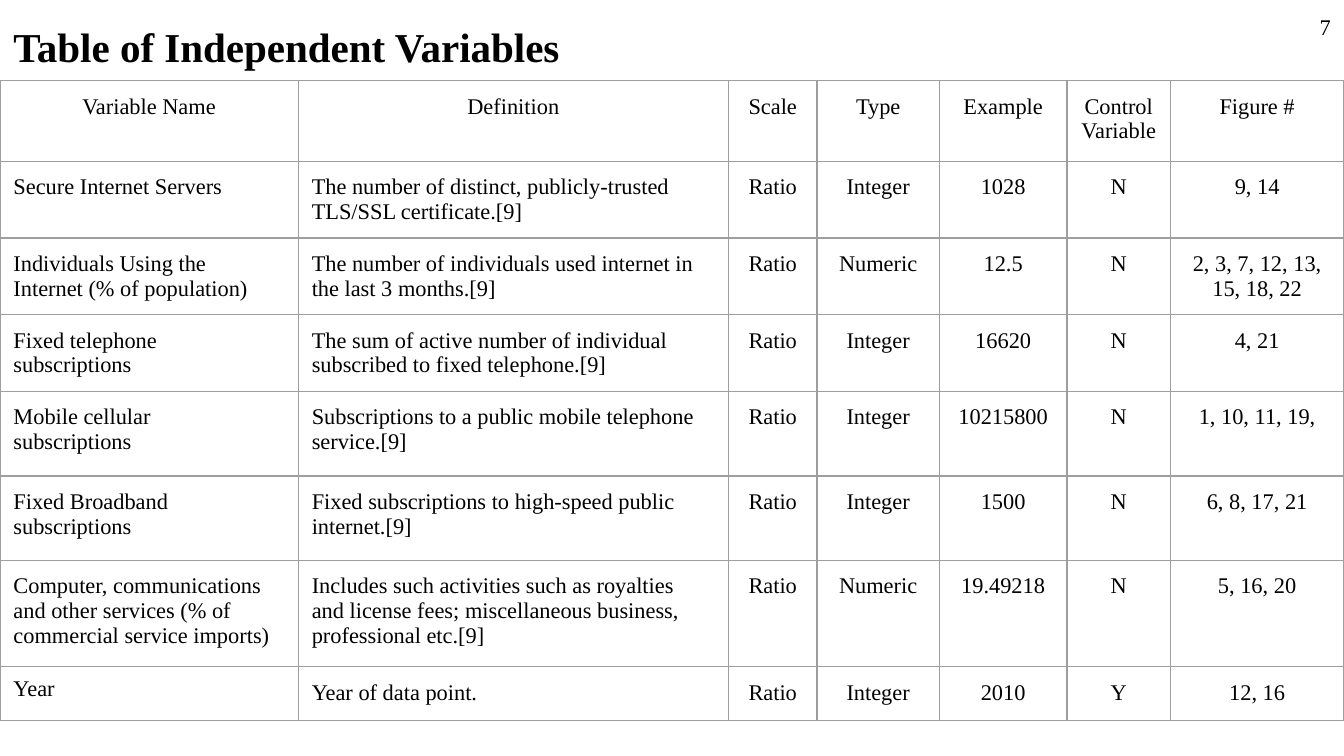
from dataclasses import astuple, dataclass
from typing import Any

from lxml import etree
from pptx import Presentation
from pptx import util as u
from pptx.dml.color import RGBColor
from pptx.enum import text
from pptx.oxml import ns

INK = RGBColor(0x00, 0x00, 0x00)
RULE = RGBColor(0x9E, 0x9E, 0x9E)
FACE = "Times New Roman"
SLIDE_WIDTH = u.Inches(10)
SLIDE_HEIGHT = SLIDE_WIDTH * 9 // 16
INSET = u.Inches(0.1)
CENTER, LEFT, RIGHT = text.PP_ALIGN.CENTER, text.PP_ALIGN.LEFT, text.PP_ALIGN.RIGHT
BODY_FONT = {"name": FACE, "size": u.Pt(12), "bold": False}
TITLE_FONT = {"name": FACE, "size": u.Pt(22), "bold": True}
MARGINS = {f"margin_{side}": INSET for side in ("left", "top", "right", "bottom")}
PROSE_MARGINS = MARGINS | {"margin_right": 2 * INSET}
COLUMN_WIDTHS = (2.22, 3.2, 0.66, 0.91, 0.95, 0.77, 1.29)
ROW_HEIGHTS = (0.6, 0.53, 0.53, 0.51, 0.63, 0.63, 0.79, 0.4)
TABLE_TOP = 0.6


@dataclass
class Variable:
    name: str
    definition: str
    scale: str
    kind: str
    example: str
    control: str
    figures: str


VARIABLES = (
    Variable("Variable Name", "Definition", "Scale", "Type", "Example",
             "Control Variable", "Figure #"),
    Variable("Secure Internet Servers",
             "The number of distinct, publicly-trusted TLS/SSL certificate.[9]",
             "Ratio", "Integer", "1028", "N", "9, 14"),
    Variable("Individuals Using the Internet (% of population)",
             "The number of individuals used internet in the last 3 months.[9]",
             "Ratio", "Numeric", "12.5", "N", "2, 3, 7, 12, 13, 15, 18, 22"),
    Variable("Fixed telephone subscriptions",
             "The sum of active number of individual subscribed to fixed telephone.[9]",
             "Ratio", "Integer", "16620", "N", "4, 21"),
    Variable("Mobile cellular subscriptions",
             "Subscriptions to a public mobile telephone service.[9]",
             "Ratio", "Integer", "10215800", "N", "1, 10, 11, 19,"),
    Variable("Fixed Broadband subscriptions",
             "Fixed subscriptions to high-speed public internet.[9]",
             "Ratio", "Integer", "1500", "N", "6, 8, 17, 21"),
    Variable("Computer, communications and other services "
             "(% of commercial service imports)",
             "Includes such activities such as royalties and license fees; "
             "miscellaneous business, professional etc.[9]",
             "Ratio", "Numeric", "19.49218", "N", "5, 16, 20"),
    Variable("Year", "Year of data point.", "Ratio", "Integer", "2010", "Y", "12, 16"),
)


def apply(target: Any, values: dict[str, Any]) -> None:
    for key, value in values.items():
        setattr(target, key, value)


def write(frame: Any, words: str, font: dict[str, Any], paragraph: dict[str, Any]) -> None:
    frame.text = words
    line = frame.paragraphs[0]
    apply(line, paragraph)
    apply(line.runs[0].font, font)
    line.runs[0].font.color.rgb = INK


def rule_cell(cell: Any) -> None:
    cell.fill.background()
    properties = cell._tc.get_or_add_tcPr()
    for position, side in enumerate("LRTB"):
        border = etree.Element(ns.qn(f"a:ln{side}"), w=str(u.Pt(0.75)))
        fill = etree.SubElement(border, ns.qn("a:solidFill"))
        etree.SubElement(fill, ns.qn("a:srgbClr"), val=str(RULE))
        properties.insert(position, border)


def draw_variables(slide: Any) -> None:
    grid = slide.shapes.add_table(
        len(ROW_HEIGHTS), len(COLUMN_WIDTHS), 0, u.Inches(TABLE_TOP),
        u.Inches(sum(COLUMN_WIDTHS)), u.Inches(sum(ROW_HEIGHTS))).table
    apply(grid, {"first_row": False, "horz_banding": False})
    for column, width in zip(grid.columns, COLUMN_WIDTHS):
        column.width = u.Inches(width)
    for row, height, variable in zip(grid.rows, ROW_HEIGHTS, VARIABLES):
        row.height = u.Inches(height)
        for index, (cell, words) in enumerate(zip(row.cells, astuple(variable))):
            is_prose = index < 2 and variable is not VARIABLES[0]
            write(cell.text_frame, words, BODY_FONT,
                  {"alignment": LEFT if is_prose else CENTER})
            apply(cell, PROSE_MARGINS if is_prose else MARGINS)
            rule_cell(cell)
    grid.cell(len(VARIABLES) - 1, 0).text_frame.paragraphs[0].line_spacing = 0.8


def main() -> None:
    deck = Presentation()
    apply(deck, {"slide_width": SLIDE_WIDTH, "slide_height": SLIDE_HEIGHT})
    slide = deck.slides.add_slide(deck.slide_layouts[5])
    draw_variables(slide)

    page_number = slide.shapes.add_textbox(u.Inches(9.4), 0, u.Inches(0.6), u.Inches(0.43))
    write(page_number.text_frame, "7", BODY_FONT, {"alignment": RIGHT})
    heading = slide.shapes.title
    apply(heading, {"left": 0, "top": 0, "width": u.Inches(9.32), "height": u.Inches(0.63)})
    write(heading.text_frame, "Table of Independent Variables", TITLE_FONT,
          {"alignment": LEFT, "line_spacing": 1.15, "space_before": u.Pt(12)})
    for part, anchor in ((page_number, text.MSO_ANCHOR.TOP),
                         (heading, text.MSO_ANCHOR.BOTTOM)):
        apply(part.text_frame, MARGINS | {"word_wrap": True, "vertical_anchor": anchor,
                                          "auto_size": text.MSO_AUTO_SIZE.NONE})
    deck.save("out.pptx")


if __name__ == "__main__":
    main()
